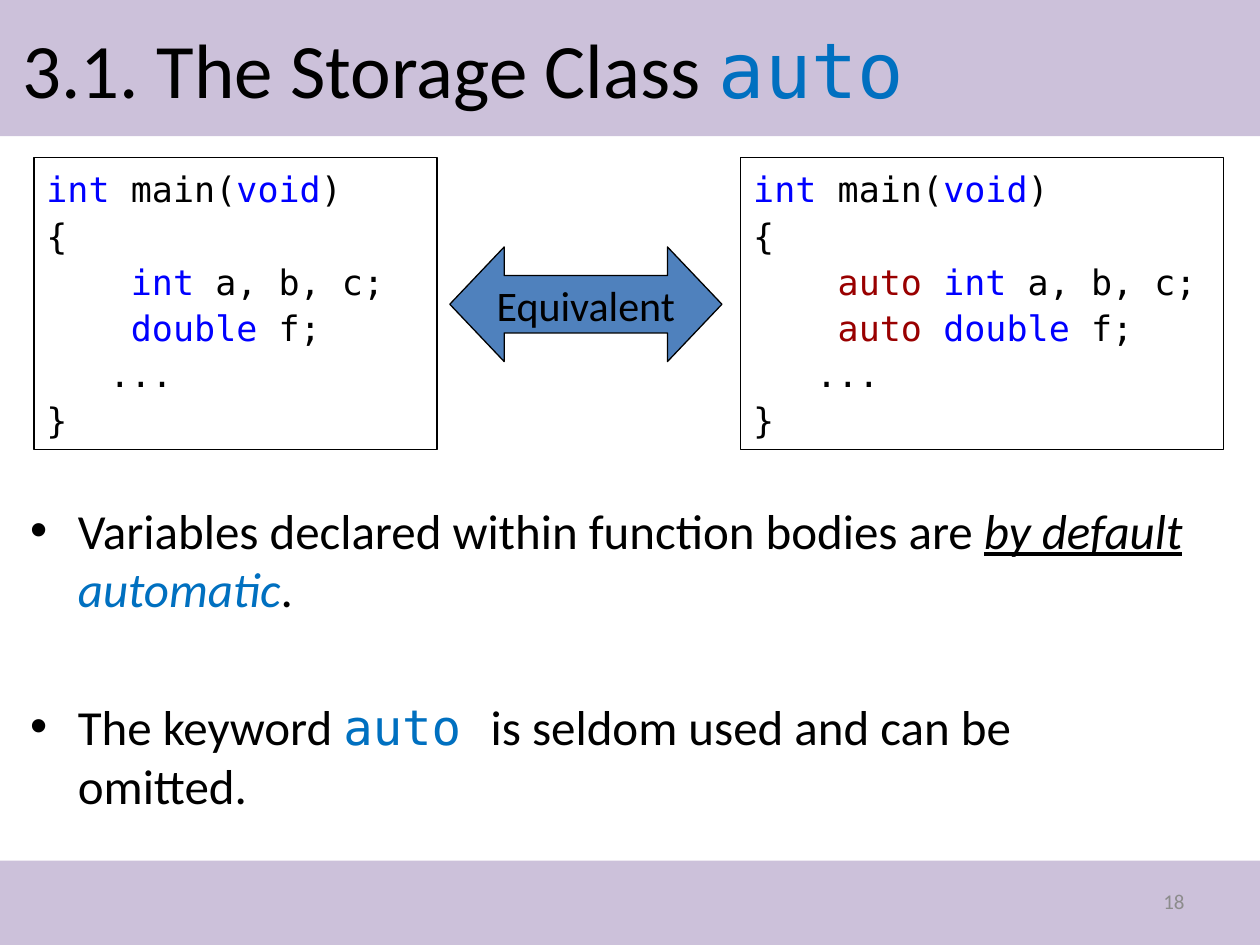
from dataclasses import dataclass

from lxml.etree import SubElement
from pptx import Presentation
from pptx.dml.color import RGBColor
from pptx.enum.shapes import MSO_SHAPE
from pptx.enum.text import MSO_ANCHOR, MSO_AUTO_SIZE, PP_ALIGN
from pptx.oxml.ns import qn
from pptx.util import Inches, Pt


@dataclass(frozen=True)
class Theme:
    sans: str = "Calibri"
    mono: str = "DejaVu Sans Mono"
    black: str = "000000"
    white: str = "FFFFFF"
    band: str = "CCC1DA"
    arrow: str = "4F81BD"
    accent: str = "0070C0"
    type: str = "0000FF"
    store: str = "990000"
    muted: str = "8C8C8C"
    title: int = 44
    body: int = 28
    label: int = 24
    code: int = 20
    small: int = 12
    edge: float = 0.75


THEME = Theme()
MAIN = [("int", THEME.type), (" main(",), ("void", THEME.type), (")",)]


def add_run(para, size, text, color=THEME.black, font=THEME.sans, stress=False, under=False):
    run = para.add_run()
    run.text = text
    run.font.size = Pt(size)
    run.font.name = font
    run.font.color.rgb = RGBColor.from_string(color)
    if stress:
        run.font.italic = True
    if under:
        run.font.underline = True


def add_text(slide, box, align=PP_ALIGN.LEFT, anchor=MSO_ANCHOR.MIDDLE):
    frame = slide.shapes.add_textbox(*map(Inches, box)).text_frame
    frame.word_wrap = True
    frame.vertical_anchor = anchor
    frame.paragraphs[0].alignment = align
    return frame


def add_shape(slide, kind, box, fill, edge=None):
    shape = slide.shapes.add_shape(kind, *map(Inches, box))
    shape.shadow.inherit = False
    shape.fill.solid()
    shape.fill.fore_color.rgb = RGBColor.from_string(fill)
    if edge:
        shape.line.color.rgb = RGBColor.from_string(edge)
        shape.line.width = Pt(THEME.edge)
    else:
        shape.line.fill.background()
    return shape


def next_para(frame, index):
    return frame.add_paragraph() if index else frame.paragraphs[0]


def add_code(slide, box, body):
    shape = add_shape(slide, MSO_SHAPE.RECTANGLE, box, THEME.white, THEME.black)
    frame = shape.text_frame
    frame.word_wrap = True
    frame.auto_size = MSO_AUTO_SIZE.SHAPE_TO_FIT_TEXT
    frame.vertical_anchor = MSO_ANCHOR.TOP
    lines = [MAIN, [("{",)], *body, [("\t...",)], [("}",)]]
    for index, line in enumerate(lines):
        para = next_para(frame, index)
        para.alignment = PP_ALIGN.LEFT
        para.line_spacing = 1.1
        tabs = SubElement(para._p.get_or_add_pPr(), qn("a:tabLst"))
        SubElement(tabs, qn("a:tab"), pos=str(Inches(0.5)), algn="l")
        for text, *color in line:
            add_run(para, THEME.code, text, *color, font=THEME.mono)


def add_list(slide, box, items):
    frame = add_text(slide, box, anchor=MSO_ANCHOR.TOP)
    for index, item in enumerate(items):
        para = next_para(frame, index)
        if index:
            para.space_before = Pt(45)
        props = para._p.get_or_add_pPr()
        props.set("marL", str(Inches(0.38)))
        props.set("indent", str(-Inches(0.38)))
        SubElement(props, qn("a:buFont"), typeface="Arial")
        SubElement(props, qn("a:buChar"), char="•")
        for part in item:
            add_run(para, THEME.body, *part)


def add_arrow(slide, box, text):
    shape = add_shape(slide, MSO_SHAPE.LEFT_RIGHT_ARROW, box, THEME.arrow, THEME.black)
    shape.adjustments[0] = 0.5
    shape.adjustments[1] = 0.475
    frame = shape.text_frame
    frame.word_wrap = False
    frame.vertical_anchor = MSO_ANCHOR.MIDDLE
    para = frame.paragraphs[0]
    para.alignment = PP_ALIGN.CENTER
    add_run(para, THEME.label, text)


def main():
    deck = Presentation()
    deck.slide_width, deck.slide_height = Inches(10), Inches(7.5)
    slide = deck.slides.add_slide(deck.slide_layouts[6])

    for top, height in ((0, 1.08), (6.83, 0.67)):
        add_shape(slide, MSO_SHAPE.RECTANGLE, (0, top, 10, height), THEME.band)

    number = add_text(slide, (7.17, 6.95, 2.33, 0.4), PP_ALIGN.RIGHT)
    add_run(number.paragraphs[0], THEME.small, "18", THEME.muted)

    title = add_text(slide, (0.08, 0.08, 9, 0.92)).paragraphs[0]
    add_run(title, THEME.title, "3.1. The Storage Class ")
    add_run(title, THEME.title, "auto", THEME.accent, THEME.mono)

    add_list(slide, (0.14, 3.92, 9.36, 2.67), [
        [("Variables declared within function bodies are ",),
         ("by default", THEME.black, THEME.sans, True, True),
         (" ",),
         ("automatic", THEME.accent, THEME.sans, True),
         (".",)],
        [("The keyword ",),
         ("auto ", THEME.accent, THEME.mono),
         ("is seldom used and can be omitted.",)],
    ])

    whole = [("int", THEME.type), (" a, b, c;",)]
    real = [("double", THEME.type), (" f;",)]
    pad, auto = ("    ",), ("auto ", THEME.store)
    add_code(slide, (0.27, 1.25, 3.2, 2.32), [[pad, *whole], [pad, *real]])
    add_code(slide, (5.88, 1.25, 3.83, 2.32), [[pad, auto, *whole], [pad, auto, *real]])
    add_arrow(slide, (3.57, 1.96, 2.16, 0.91), "Equivalent")

    deck.save("out.pptx")


if __name__ == "__main__":
    main()
